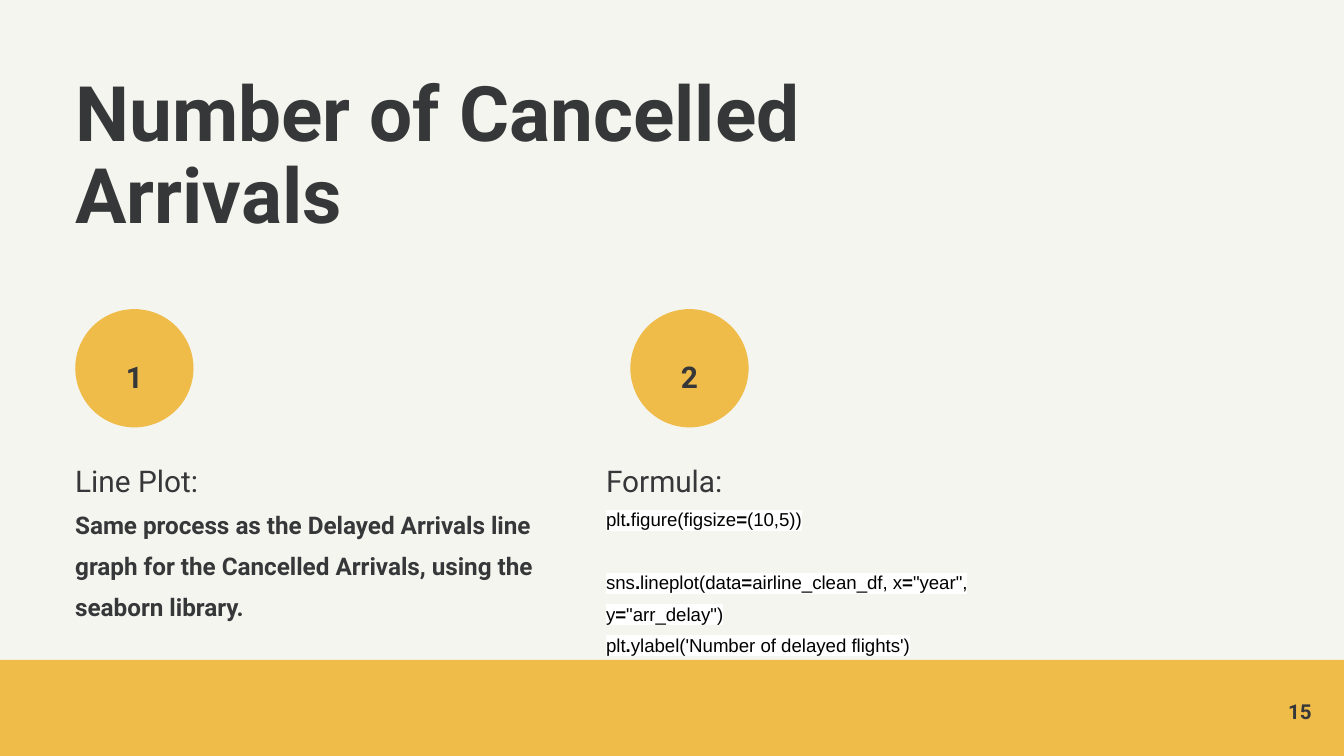
from itertools import groupby

from lxml import etree
from pptx import Presentation
from pptx.dml.color import RGBColor
from pptx.enum import shapes, text
from pptx.oxml import ns
from pptx.util import Inches, Pt

COLORS = {"paper": "F5F5EF", "ink": "363739", "gold": "EFBC49",
          "code": "000000", "highlight": "FFFFFF"}
CODE = [
    "plt.figure(figsize=(10,5))",
    'sns.lineplot(data=airline_clean_df, x="year", y="arr_delay")',
    "plt.ylabel('Number of delayed flights')",
]
CODE_GAP = Pt(17)  # one code line


def rgb(name):
    return RGBColor.from_string(COLORS[name])


def style(run, size, bold=False, color="ink", face="Roboto"):
    run.font.size = Pt(size)
    run.font.bold = bold
    run.font.color.rgb = rgb(color)
    run.font.name = face


def add_run(paragraph, words, *args, **kwargs):
    run = paragraph.add_run()
    run.text = words
    style(run, *args, **kwargs)
    return run


def set_frame(frame, anchor=text.MSO_ANCHOR.TOP):
    frame.word_wrap = True
    frame.auto_size = text.MSO_AUTO_SIZE.NONE
    frame.vertical_anchor = anchor
    frame.margin_left = frame.margin_right = 0
    frame.margin_top = frame.margin_bottom = 0


def add_text(slide, left, top, width, height, **kwargs):
    box = slide.shapes.add_textbox(*map(Inches, (left, top, width, height)))
    set_frame(box.text_frame, **kwargs)
    return box.text_frame


def add_gold(slide, kind, left, top, width, height):
    shape = slide.shapes.add_shape(kind, *map(Inches, (left, top, width, height)))
    shape.shadow.inherit = False
    shape.fill.solid()
    shape.fill.fore_color.rgb = rgb("gold")
    shape.line.fill.background()


def add_title(slide, left, top, width, height):
    title = slide.shapes.title
    title.left, title.top = Inches(left), Inches(top)
    title.width, title.height = Inches(width), Inches(height)
    set_frame(title.text_frame)
    paragraph = title.text_frame.paragraphs[0]
    paragraph.text = "Number of Cancelled Arrivals"
    paragraph.alignment = text.PP_ALIGN.LEFT
    paragraph.line_spacing = 0.9
    style(paragraph.runs[0], 41, bold=True)


def add_badge(slide, number, left, top, size):
    add_gold(slide, shapes.MSO_SHAPE.OVAL, left, top, size, size)
    frame = add_text(slide, left + (size - 0.42) / 2, top + 0.3, 0.42, 0.27)
    paragraph = frame.paragraphs[0]
    paragraph.alignment = text.PP_ALIGN.CENTER
    paragraph.line_spacing = 1.25
    add_run(paragraph, str(number), 16, bold=True)


def add_column(slide, heading, left, top, width, height):
    """Place a column and return its frame, with the heading line written."""
    frame = add_text(slide, left, top, width, height)
    paragraph = frame.paragraphs[0]
    paragraph.line_spacing = 1.4
    add_run(paragraph, heading, 16)
    paragraph.add_line_break()
    return frame


def add_code_line(paragraph, line):
    # Dots and equals signs are bold
    for bold, chars in groupby(line, key=lambda char: char in ".="):
        run = add_run(paragraph, "".join(chars), 10, bold, "code", "Arial")
        fill = run.font.fill._xPr.find(ns.qn("a:solidFill"))
        highlight = etree.Element(ns.qn("a:highlight"))
        etree.SubElement(highlight, ns.qn("a:srgbClr"), val=COLORS["highlight"])
        fill.addnext(highlight)


def add_footer(slide, left, top, width, height):
    add_gold(slide, shapes.MSO_SHAPE.RECTANGLE, left, top, width, height)
    frame = add_text(slide, left + width - 0.84, top + 0.28, 0.6, 0.2,
                     anchor=text.MSO_ANCHOR.MIDDLE)
    frame.paragraphs[0].alignment = text.PP_ALIGN.RIGHT
    add_run(frame.paragraphs[0], "15", 11, bold=True)


def main():
    prs = Presentation()
    prs.slide_width = Inches(10)
    prs.slide_height = prs.slide_width * 9 // 16
    slide = prs.slides.add_slide(prs.slide_layouts[5])
    slide.background.fill.solid()
    slide.background.fill.fore_color.rgb = rgb("paper")

    add_title(slide, 0.56, 0.56, 7.45, 0.79)
    for number, left in enumerate((0.56, 4.69), start=1):
        add_badge(slide, number, left, 2.3, 0.88)
    add_footer(slide, 0, 4.91, 10, 0.72)

    # Explanation
    process = add_column(slide, "Line Plot:", 0.56, 3.34, 3.46, 1.53)
    add_run(process.paragraphs[0],
            "Same process as the Delayed Arrivals line graph for the "
            "Cancelled Arrivals, using the seaborn library.", 13, bold=True)

    # Plot code, set off after its first line
    formula = add_column(slide, "Formula:", 4.51, 3.34, 3.46, 1.53)
    add_code_line(formula.paragraphs[0], CODE[0])
    for line in CODE[1:]:
        paragraph = formula.add_paragraph()
        paragraph.line_spacing = 1.4
        add_code_line(paragraph, line)
    formula.paragraphs[1].space_before = CODE_GAP

    prs.save("out.pptx")


if __name__ == "__main__":
    main()
